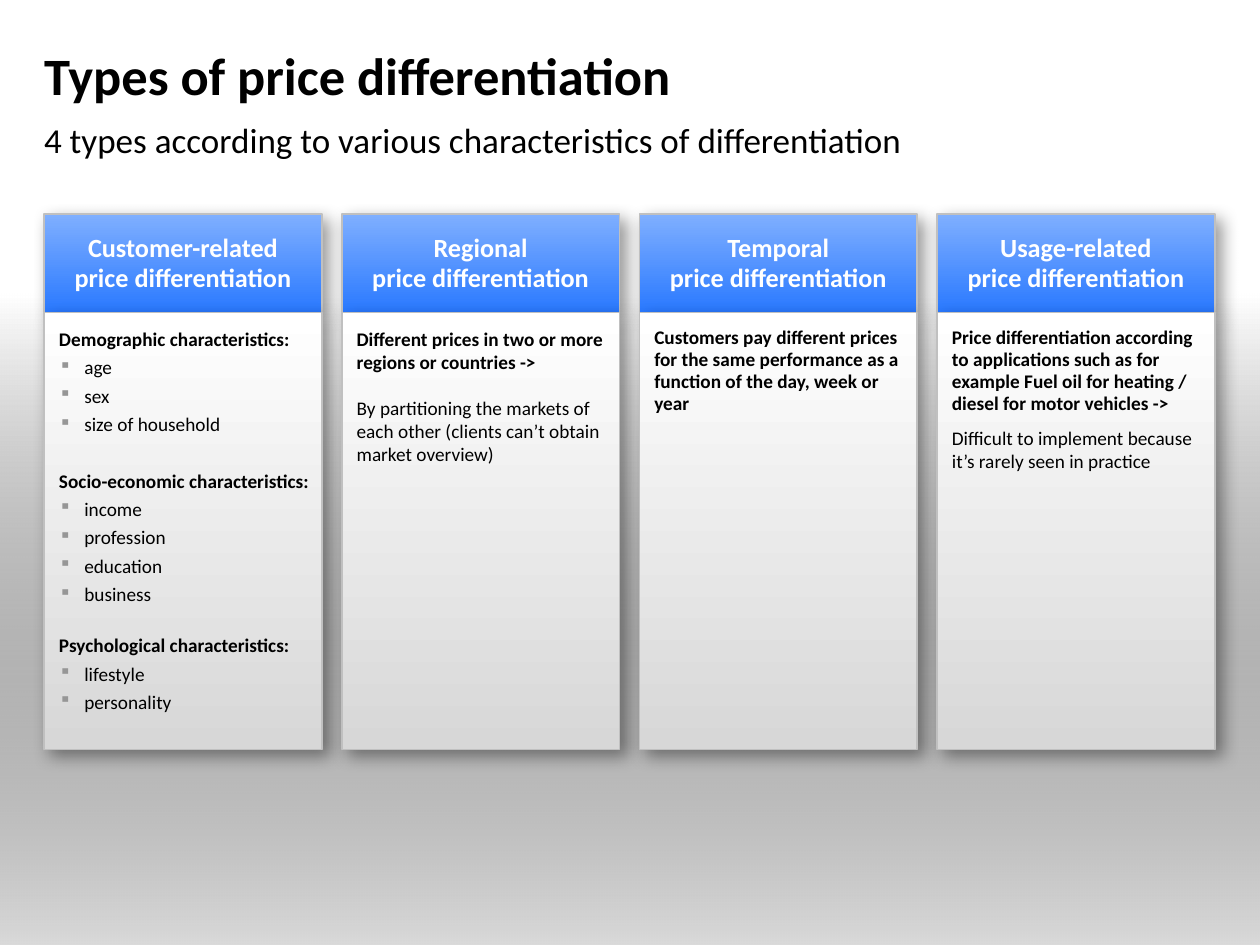
"""Build a slide that compares four types of price differentiation in columns."""
from dataclasses import dataclass

from lxml.etree import SubElement
from pptx import Presentation
from pptx.dml.color import RGBColor
from pptx.enum.shapes import MSO_SHAPE
from pptx.enum.text import MSO_ANCHOR, PP_ALIGN
from pptx.oxml import parse_xml
from pptx.oxml.ns import nsdecls, qn
from pptx.util import Cm, Pt


@dataclass(frozen=True)
class Theme:
    font: str = "Calibri"
    black: str = "000000"
    white: str = "FFFFFF"
    blue_light: str = "7FAFFF"
    blue_dark: str = "2A79FF"
    panel_grey: str = "D7D7D7"
    border: str = "C0C0C0"
    bullet: str = "969696"
    title_size: int = 30
    subtitle_size: int = 20
    header_size: int = 15
    body_size: int = 11


@dataclass(frozen=True)
class Line:
    text: str
    bold: bool = False
    bullet: bool = False
    before: int = 0
    after: int = 0
    spacing: float = 1.0


theme = Theme()


def add_panel(shapes, left, top, width, height, colors, angle):
    panel = shapes.add_shape(MSO_SHAPE.RECTANGLE, Cm(left), Cm(top), Cm(width), Cm(height))
    panel.shadow.inherit = False
    panel.fill.gradient()
    panel.fill.gradient_angle = angle
    for stop, color, position in zip(panel.fill.gradient_stops, colors, (0, 1)):
        stop.color.rgb = RGBColor.from_string(color)
        stop.position = position
    return panel


def set_type(paragraph, size, color, bold=False):
    paragraph.font.name = theme.font
    paragraph.font.size = Pt(size)
    paragraph.font.bold = bold
    paragraph.font.color.rgb = RGBColor.from_string(color)


columns = [
    ("Customer-related\vprice differentiation", [
        Line("Demographic characteristics:", bold=True, after=3),
        *[Line(text, bullet=True, after=3) for text in ("age", "sex", "size of household")],
        Line("Socio-economic characteristics:", bold=True, before=16, after=3),
        *[Line(text, bullet=True, after=3)
          for text in ("income", "profession", "education", "business")],
        Line("Psychological characteristics:", bold=True, before=13, after=3),
        *[Line(text, bullet=True, after=3) for text in ("lifestyle", "personality")],
    ]),
    ("Regional\vprice differentiation", [
        Line("Different prices in two or more regions or countries ->", bold=True),
        Line("By partitioning the markets of each other (clients can’t obtain market overview)",
             before=13),
    ]),
    ("Temporal\vprice differentiation", [
        Line("Customers pay different prices for the same performance as a function of the day, "
             "week or year", bold=True, after=6, spacing=0.95),
    ]),
    ("Usage-related\vprice differentiation", [
        Line("Price differentiation according to applications such as for example Fuel oil for "
             "heating / diesel for motor vehicles ->", bold=True, after=6, spacing=0.95),
        Line("Difficult to implement because it’s rarely seen in practice"),
    ]),
]

presentation = Presentation()
presentation.slide_width, presentation.slide_height = Cm(25.4), Cm(19.05)
slide = presentation.slides.add_slide(presentation.slide_layouts[6])

backdrop = add_panel(slide.shapes, 0, 5.92, 25.4, 13.13, (theme.black, theme.white), 90)
backdrop.line.fill.background()
SubElement(backdrop.element.xpath(".//a:gs/a:srgbClr")[0], qn("a:alpha"), val="15000")

left, column_width, column_pitch = 0.89, 5.6, 6.0
header_top, header_height, body_height = 4.32, 1.98, 8.81

for text, top, height, size, bold, anchor in (
    ("Types of price differentiation", 0.66, 1.7, theme.title_size, True, MSO_ANCHOR.MIDDLE),
    ("4 types according to various characteristics of differentiation", 2.39, 0.94,
     theme.subtitle_size, False, MSO_ANCHOR.TOP),
):
    box = slide.shapes.add_textbox(Cm(left), Cm(top), Cm(23.6), Cm(height))
    frame = box.text_frame
    frame.word_wrap = True
    frame.vertical_anchor = anchor
    frame.margin_left = frame.margin_top = frame.margin_right = frame.margin_bottom = 0
    frame.text = text
    set_type(frame.paragraphs[0], size, theme.black, bold)

for index, (heading, lines) in enumerate(columns):
    column_left = left + index * column_pitch
    group = slide.shapes.add_group_shape()
    header = add_panel(group.shapes, column_left, header_top, column_width, header_height,
                       (theme.blue_light, theme.blue_dark), 270)
    body = add_panel(group.shapes, column_left, header_top + header_height, column_width,
                     body_height, (theme.panel_grey, theme.white), 90)
    for panel in (header, body):
        panel.line.color.rgb = RGBColor.from_string(theme.border)
        panel.line.width = Pt(1)
        panel.element.spPr.find(qn("a:effectLst")).append(parse_xml(
            f'<a:outerShdw {nsdecls("a")} blurRad="{Pt(10)}" dist="{Pt(5)}" dir="2700000" '
            f'algn="tl" rotWithShape="0"><a:srgbClr val="{theme.black}">'
            '<a:alpha val="40000"/></a:srgbClr></a:outerShdw>'))

    frame = header.text_frame
    frame.word_wrap = True
    frame.vertical_anchor = MSO_ANCHOR.MIDDLE
    frame.margin_left = frame.margin_top = frame.margin_right = frame.margin_bottom = 0
    paragraph = frame.paragraphs[0]
    paragraph.text = heading
    paragraph.alignment = PP_ALIGN.CENTER
    paragraph.line_spacing = 0.95
    paragraph.space_after = Pt(8)
    set_type(paragraph, theme.header_size, theme.white, True)

    frame = body.text_frame
    frame.word_wrap = True
    frame.vertical_anchor = MSO_ANCHOR.TOP
    frame.margin_left = frame.margin_top = Cm(0.3)
    frame.margin_right, frame.margin_bottom = Cm(0.2), 0
    for number, line in enumerate(lines):
        paragraph = frame.add_paragraph() if number else frame.paragraphs[0]
        paragraph.text = line.text
        paragraph.alignment = PP_ALIGN.LEFT
        if line.bullet:
            properties = paragraph._p.get_or_add_pPr()
            properties.set("marL", str(Cm(0.51)))
            properties.set("indent", str(-Cm(0.51)))
            bullet_color = SubElement(properties, qn("a:buClr"))
            SubElement(bullet_color, qn("a:srgbClr"), val=theme.bullet)
            SubElement(properties, qn("a:buSzPct"), val="90000")
            SubElement(properties, qn("a:buChar"), char="▪")
        paragraph.line_spacing = line.spacing
        paragraph.space_before = Pt(line.before)
        paragraph.space_after = Pt(line.after)
        set_type(paragraph, theme.body_size, theme.black, line.bold)

presentation.save("out.pptx")
